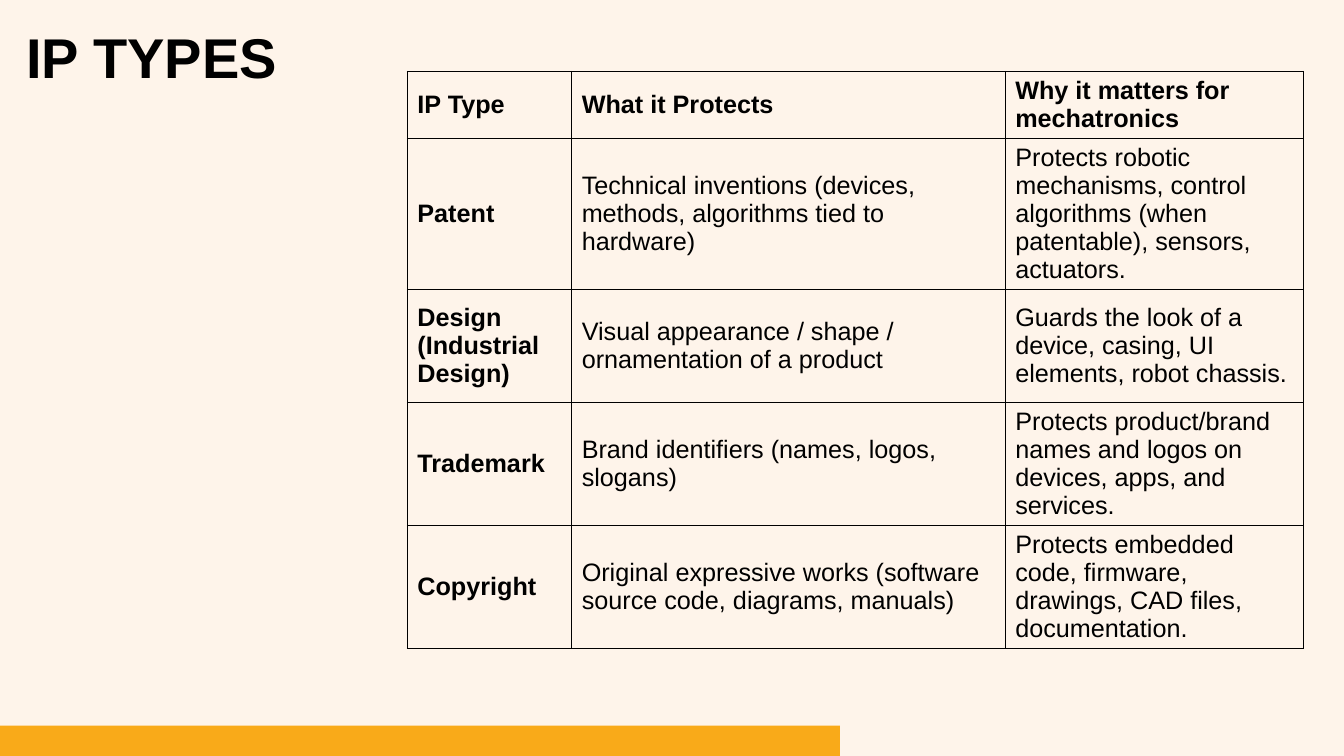
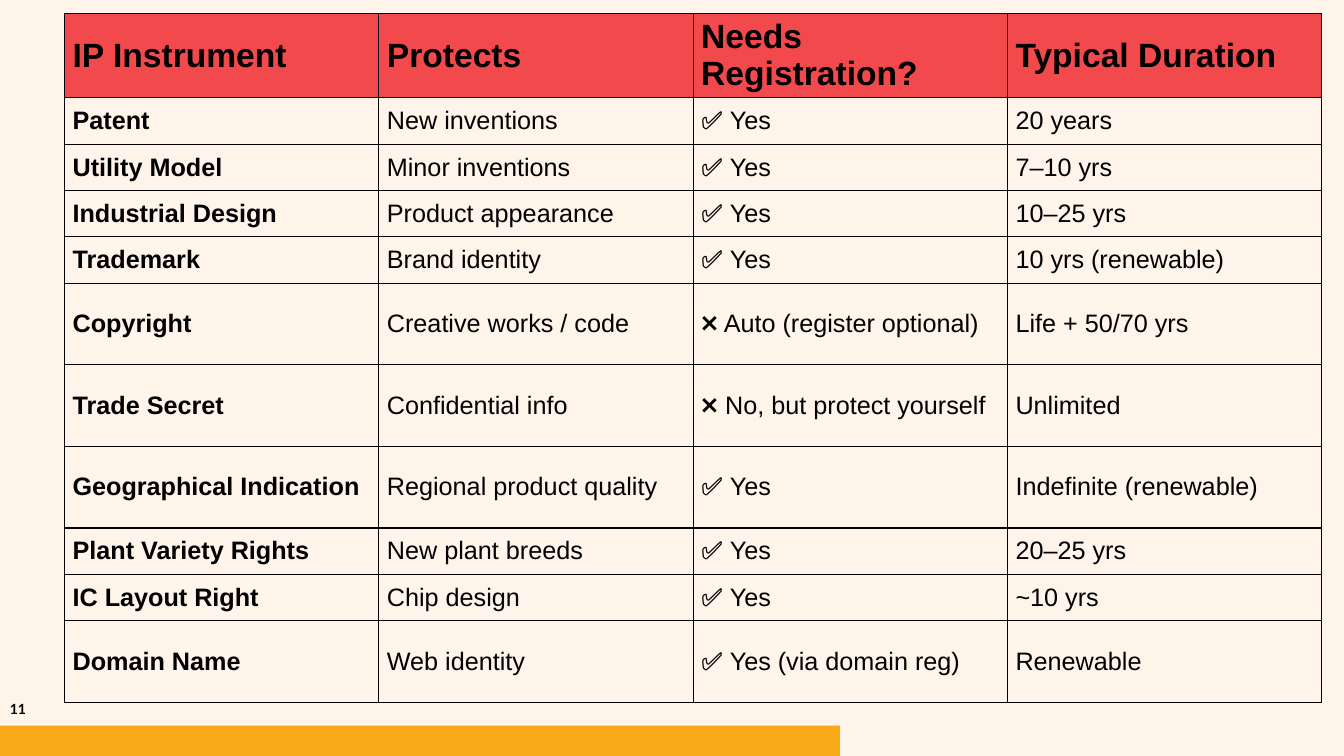
from lxml.etree import SubElement
from pptx import Presentation
from pptx.dml.color import RGBColor
from pptx.enum.shapes import MSO_SHAPE
from pptx.enum.text import MSO_ANCHOR, MSO_AUTO_SIZE, PP_ALIGN
from pptx.oxml.ns import qn
from pptx.util import Inches, Pt

COLORS = {
    "background": "FEF4EA",
    "band": "F9AA19",
    "header": "F2494C",
    "text": "000000",
    "border": "000000",
}
TITLE_FONT = {"name": "Arial", "size": Pt(40), "bold": True}
HEADER_FONT = {"name": "Arial", "size": Pt(24), "bold": True}
LABEL_FONT = {"name": "Arial", "size": Pt(18), "bold": True}
BODY_FONT = {**LABEL_FONT, "bold": False}
NUMBER_FONT = {"name": "Lato", "size": Pt(10), "bold": True}

WIDE_MARGINS = {"margin_left": Inches(0.1), "margin_right": Inches(0.1),
                "margin_top": Inches(0.05), "margin_bottom": Inches(0.05)}
NARROW_MARGINS = {"margin_left": Inches(0.08), "margin_right": Inches(0.08),
                  "margin_top": Inches(0.02), "margin_bottom": Inches(0.02)}

IP_TYPES = [
    ("IP Type", "What it Protects", "Why it matters for mechatronics"),
    ("Patent",
     "Technical inventions (devices, methods, algorithms tied to hardware)",
     "Protects robotic mechanisms, control algorithms (when patentable), "
     "sensors, actuators."),
    ("Design (Industrial Design)",
     "Visual appearance / shape / ornamentation of a product",
     "Guards the look of a device, casing, UI elements, robot chassis."),
    ("Trademark",
     "Brand identifiers (names, logos, slogans)",
     "Protects product/brand names and logos on devices, apps, and services."),
    ("Copyright",
     "Original expressive works (software source code, diagrams, manuals)",
     "Protects embedded code, firmware, drawings, CAD files, documentation."),
]
IP_INSTRUMENTS = [
    ("IP Instrument", "Protects", "Needs Registration?", "Typical Duration"),
    ("Patent", "New inventions", "✅ Yes", "20 years"),
    ("Utility Model", "Minor inventions", "✅ Yes", "7–10 yrs"),
    ("Industrial Design", "Product appearance", "✅ Yes", "10–25 yrs"),
    ("Trademark", "Brand identity", "✅ Yes", "10 yrs (renewable)"),
    ("Copyright", "Creative works / code", "❌ Auto (register optional)",
     "Life + 50/70 yrs"),
    ("Trade Secret", "Confidential info", "❌ No, but protect yourself",
     "Unlimited"),
    ("Geographical Indication", "Regional product quality", "✅ Yes",
     "Indefinite (renewable)"),
    ("Plant Variety Rights", "New plant breeds", "✅ Yes", "20–25 yrs"),
    ("IC Layout Right", "Chip design", "✅ Yes", "~10 yrs"),
    ("Domain Name", "Web identity", "✅ Yes (via domain reg)", "Renewable"),
]


def paint(fill, color):
    fill.solid()
    fill.fore_color.rgb = RGBColor.from_string(COLORS[color])


def set_values(target, values):
    for attribute, value in values.items():
        setattr(target, attribute, value)


def write(frame, text, font):
    frame.text = text
    run_font = frame.paragraphs[0].runs[0].font
    set_values(run_font, font)
    run_font.color.rgb = RGBColor.from_string(COLORS["text"])


def add_banded_slide(prs, layout):
    """Add a slide that carries the shared bottom band."""
    slide = prs.slides.add_slide(layout)
    band = slide.shapes.add_shape(MSO_SHAPE.RECTANGLE, Inches(0), Inches(7.2),
                                  Inches(8.33), Inches(0.3))
    band.shadow.inherit = False
    paint(band.fill, "band")
    band.line.fill.background()
    return slide


def add_title(slide, text):
    title = slide.shapes.title
    set_values(title, {"left": Inches(0.16), "top": Inches(0.14),
                       "width": Inches(3.55), "height": Inches(0.81)})
    frame = title.text_frame
    write(frame, text, TITLE_FONT)
    set_values(frame, {"vertical_anchor": MSO_ANCHOR.BOTTOM,
                       "auto_size": MSO_AUTO_SIZE.NONE, "word_wrap": True})
    set_values(frame.paragraphs[0], {"alignment": PP_ALIGN.LEFT,
                                     "line_spacing": 0.9})


def add_page_number(slide, number):
    box = slide.shapes.add_textbox(Inches(0), Inches(6.83),
                                   Inches(2.92), Inches(0.4))
    set_values(box.text_frame, {"vertical_anchor": MSO_ANCHOR.MIDDLE,
                                "word_wrap": True})
    write(box.text_frame, number, NUMBER_FONT)


def add_borders(cell):
    properties = cell._tc.get_or_add_tcPr()
    for side in ("lnL", "lnR", "lnT", "lnB"):
        line = SubElement(properties, qn(f"a:{side}"), w=str(Pt(1)))
        fill = SubElement(line, qn("a:solidFill"))
        SubElement(fill, qn("a:srgbClr"), val=COLORS["border"])


def add_grid(slide, left, top, widths, heights, rows, margins,
             header_font=LABEL_FONT, header_color=None):
    """Add a bordered table with a bold header row and first column."""
    table = slide.shapes.add_table(
        len(rows), len(widths), Inches(left), Inches(top),
        Inches(sum(widths)), Inches(sum(heights))).table
    table.first_row = table.horz_banding = False
    for column, width in zip(table.columns, widths):
        column.width = Inches(width)
    for r, (height, texts) in enumerate(zip(heights, rows)):
        table.rows[r].height = Inches(height)
        for c, text in enumerate(texts):
            cell = table.cell(r, c)
            set_values(cell, {**margins,
                              "vertical_anchor": MSO_ANCHOR.MIDDLE})
            add_borders(cell)
            if r == 0 and header_color:
                paint(cell.fill, header_color)
            else:
                cell.fill.background()
            body_font = LABEL_FONT if c == 0 else BODY_FONT
            write(cell.text_frame, text, header_font if r == 0 else body_font)


def main():
    prs = Presentation()
    prs.slide_width, prs.slide_height = Inches(13.33), Inches(7.5)
    paint(prs.slide_master.background.fill, "background")
    title_only, blank = prs.slide_layouts[5], prs.slide_layouts[6]

    types = add_banded_slide(prs, title_only)
    add_title(types, "IP TYPES")
    add_grid(types, 4.04, 0.71, [1.63, 4.3, 2.96],
             [0.59, 1.39] + [1.12] * 3, IP_TYPES, WIDE_MARGINS)

    instruments = add_banded_slide(prs, blank)
    add_page_number(instruments, "11")
    short, tall = 0.46, 0.81
    add_grid(instruments, 0.64, 0.13, [12.47 / 4] * 4,
             [0.75] + [short] * 4 + [tall] * 3 + [short] * 2 + [tall],
             IP_INSTRUMENTS, NARROW_MARGINS, HEADER_FONT, "header")

    prs.save("out.pptx")


if __name__ == "__main__":
    main()
